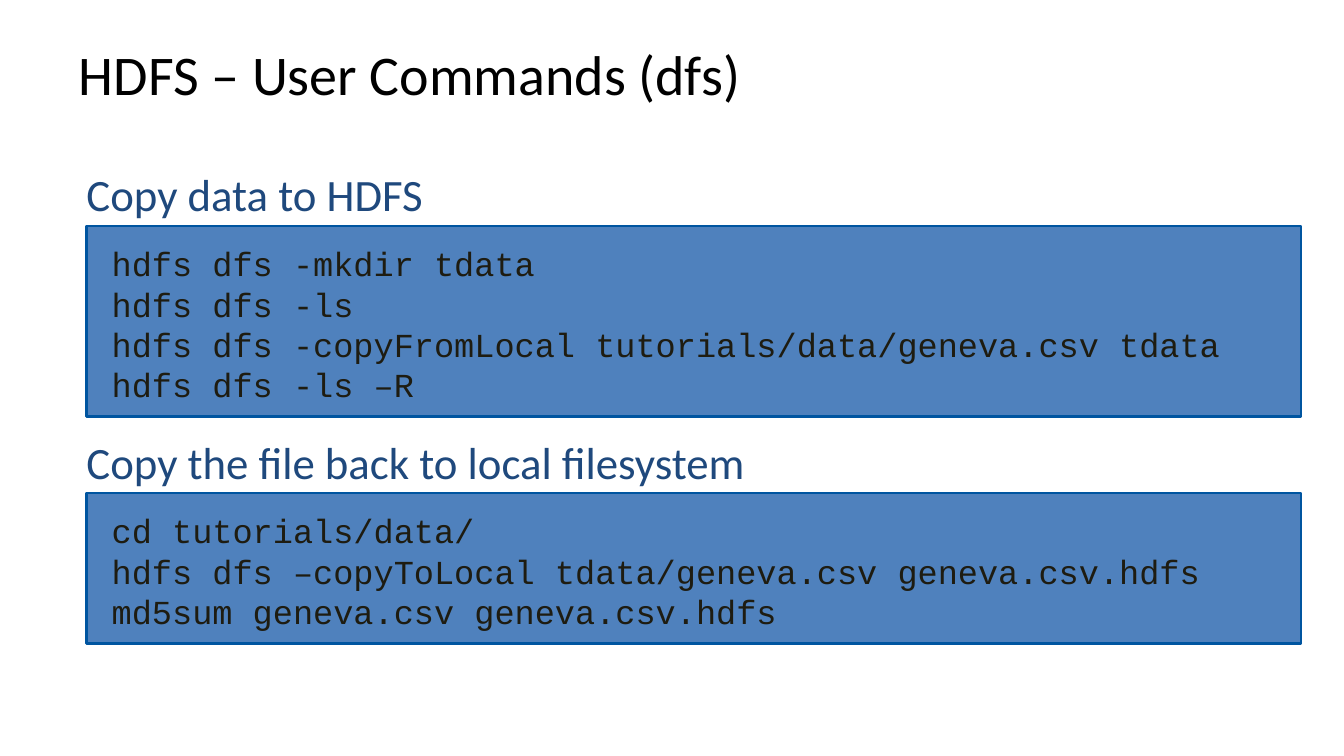
import pptx
import pptx.util
import pptx.dml.color
import pptx.enum.shapes
import pptx.enum.text

Inches = pptx.util.Inches
Pt = pptx.util.Pt
RGBColor = pptx.dml.color.RGBColor

BLACK = RGBColor(0x00, 0x00, 0x00)
NAVY = RGBColor(0x1F, 0x49, 0x7D)
PANEL_BLUE = RGBColor(0x4F, 0x81, 0xBD)
EDGE_BLUE = RGBColor(0x00, 0x55, 0xA0)
CODE_INK = RGBColor(0x1E, 0x1C, 0x11)

SLIDE_W, SLIDE_H = 16, 9
LEFT = 1.03
PANEL_W = 14.46
HEADING_H = 0.8
LINE_H = 0.48
PANEL_PAD = 0.35

SECTIONS = [
    (2.69, "Copy data to HDFS", [
        "hdfs dfs -mkdir tdata",
        "hdfs dfs -ls",
        "hdfs dfs -copyFromLocal tutorials/data/geneva.csv tdata",
        "hdfs dfs -ls –R",
    ]),
    (5.87, "Copy the file back to local filesystem", [
        "cd tutorials/data/",
        "hdfs dfs –copyToLocal tdata/geneva.csv geneva.csv.hdfs",
        "md5sum geneva.csv geneva.csv.hdfs",
    ]),
]


def set_frame(tf, left, top, bottom):
    tf.word_wrap = True
    tf.vertical_anchor = pptx.enum.text.MSO_ANCHOR.MIDDLE
    tf.margin_left = tf.margin_right = Inches(left)
    tf.margin_top, tf.margin_bottom = Inches(top), Inches(bottom)


def add_line(p, text, font, size, color):
    p.alignment = pptx.enum.text.PP_ALIGN.LEFT
    r = p.add_run()
    r.text = text
    r.font.name = font
    r.font.size = Pt(size)
    r.font.color.rgb = color


prs = pptx.Presentation()
prs.slide_width, prs.slide_height = Inches(SLIDE_W), Inches(SLIDE_H)
s = prs.slides.add_slide(prs.slide_layouts[6])

title = s.shapes.add_textbox(Inches(0.78), Inches(0.26), Inches(14.4), Inches(1.23))
set_frame(title.text_frame, 0.16, 0.08, 0.08)
add_line(title.text_frame.paragraphs[0], "HDFS – User Commands (dfs)", "Calibri", 48, BLACK)

for top, heading, commands in SECTIONS:
    box = s.shapes.add_textbox(Inches(LEFT), Inches(top - HEADING_H + 0.02),
                               Inches(PANEL_W), Inches(HEADING_H))
    set_frame(box.text_frame, 0, 0.08, 0.08)
    add_line(box.text_frame.paragraphs[0], heading, "Calibri", 38.4, NAVY)

    sp = s.shapes.add_shape(pptx.enum.shapes.MSO_SHAPE.RECTANGLE, Inches(LEFT), Inches(top),
                            Inches(PANEL_W), Inches(PANEL_PAD + LINE_H * len(commands)))
    sp.shadow.inherit = False
    sp.fill.solid()
    sp.fill.fore_color.rgb = PANEL_BLUE
    sp.line.color.rgb = EDGE_BLUE
    sp.line.width = Pt(2)
    tf = sp.text_frame
    set_frame(tf, 0.3, 0.2, 0.14)
    for i, command in enumerate(commands):
        p = tf.add_paragraph() if i else tf.paragraphs[0]
        p.line_spacing = Pt(LINE_H * 72)
        add_line(p, command, "Courier New", 28.8, CODE_INK)

prs.save("out.pptx")
